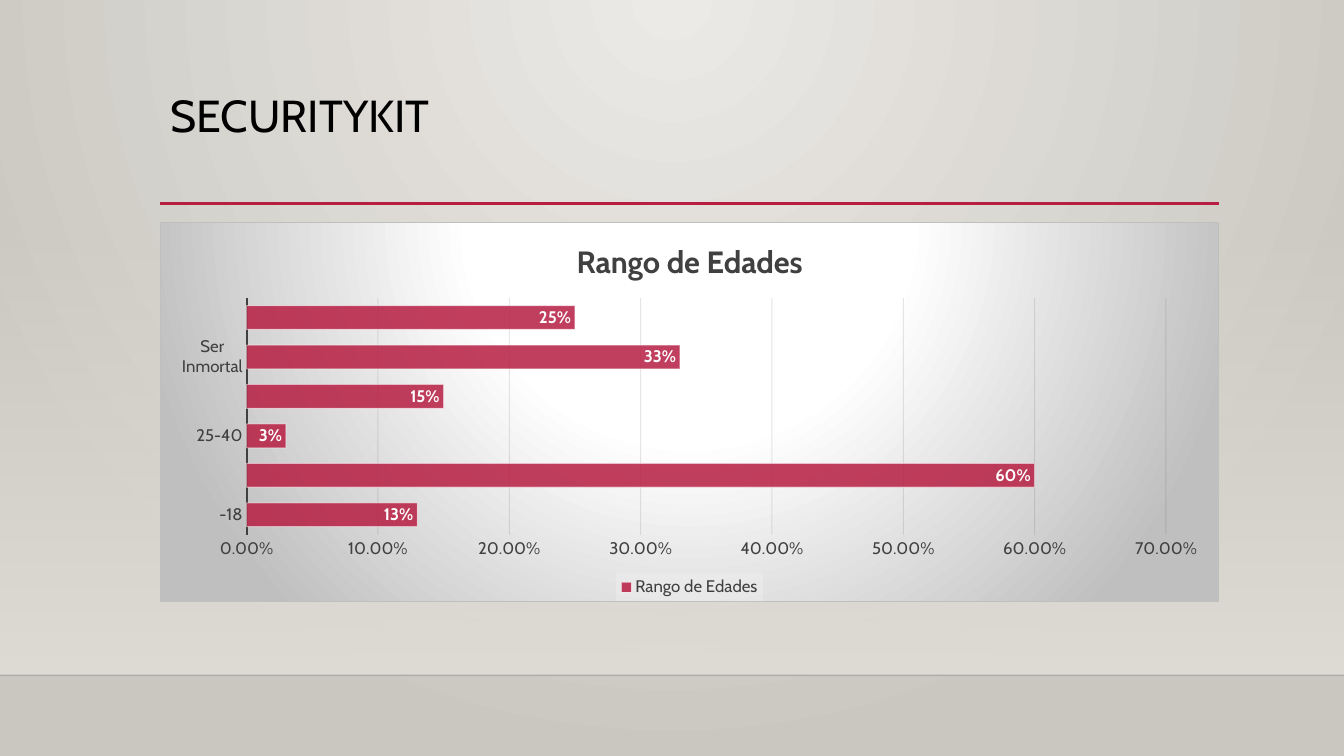
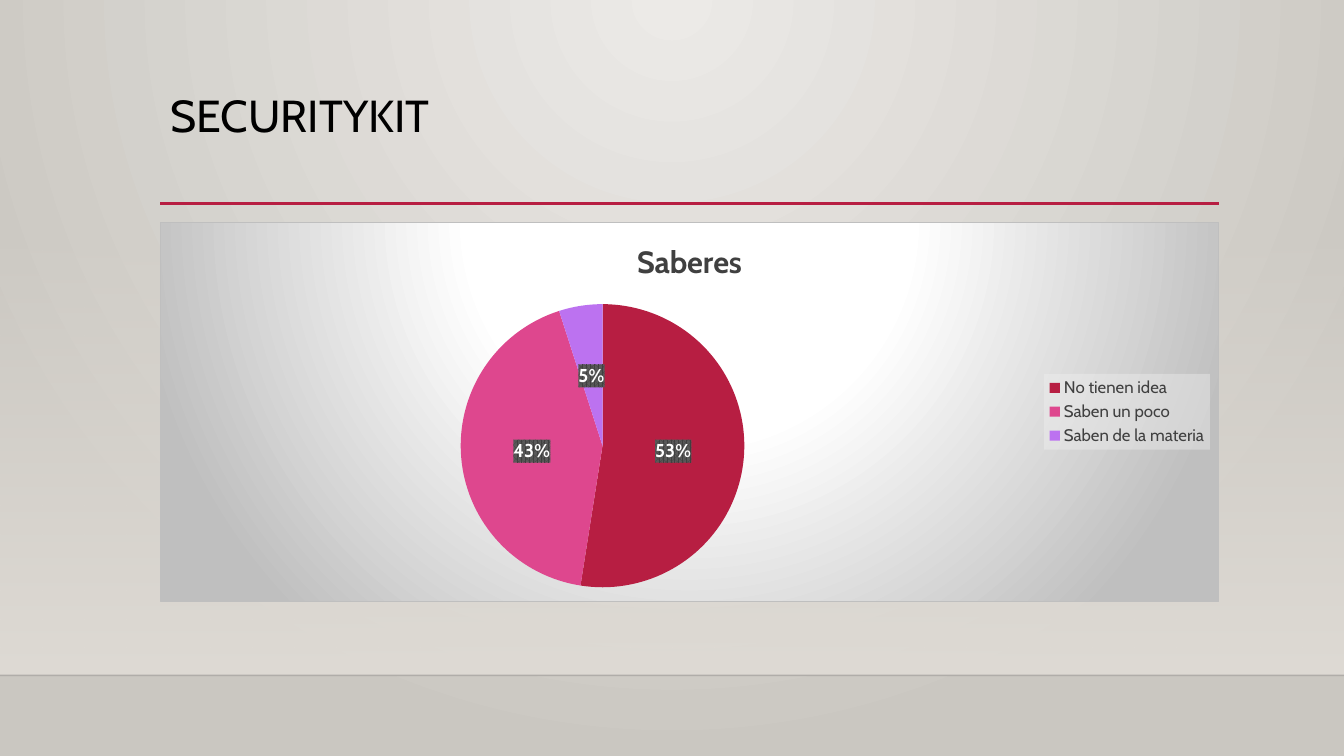
from pptx import Presentation
from pptx.chart.data import CategoryChartData
from pptx.dml.color import RGBColor
from pptx.enum.chart import XL_CHART_TYPE as Kind
from pptx.enum.chart import XL_LABEL_POSITION as Spot
from pptx.enum.chart import XL_LEGEND_POSITION as Side
from pptx.enum.chart import XL_TICK_MARK as Tick
from pptx.enum.shapes import MSO_CONNECTOR as Wire
from pptx.enum.shapes import MSO_SHAPE as Shape
from pptx.enum.text import MSO_ANCHOR as Anchor
from pptx.enum.text import MSO_AUTO_SIZE as Fit
from pptx.enum.text import PP_ALIGN as Align
from pptx.oxml import parse_xml
from pptx.oxml.ns import nsdecls, qn
from pptx.util import Pt

FACE = "Cabin"
INK = {
    "light": "ECEAE7", "shade": "CAC7C1", "sand": "DFDBD5", "edge": "000001",
    "red": "B71E42", "pink": "DE478E", "violet": "BC72F0",
    "black": "000000", "white": "FFFFFF", "text": "404040",
    "grid": "0D0D0D", "gray": "BFBFBF", "pale": "F2F2F2", "dot": "595959",
}
WIDTH, HEIGHT = 960, 540
LEFT, SPAN = 114.5, 756
RULE, FLOOR = 145.4, 482.4
BAND = 159.1
TITLE = (LEFT, 63.4, SPAN, 82.8)
CHART = (LEFT, 158.4, SPAN, 271.4)


def pts(*nums):
    return [Pt(num) for num in nums]


def style(font, size, ink, bold=False):
    font.name, font.size, font.bold = FACE, Pt(size), bold
    font.color.rgb = RGBColor.from_string(INK[ink])


def tint(fill, ink, alpha=100):
    """Make a fill solid, with an opacity in percent."""
    fill.solid()
    fill.fore_color.rgb = RGBColor.from_string(INK[ink])
    if alpha < 100:
        tone = fill._xPr.find(qn("a:solidFill")).find(qn("a:srgbClr"))
        tone.append(parse_xml(f'<a:alpha {nsdecls("a")} val="{alpha * 1000}"/>'))


def stroke(line, ink, width, alpha=100):
    line.width = Pt(width)
    tint(line.fill, ink, alpha)


def color(ink, alpha=100):
    return (f'<a:srgbClr val="{INK[ink]}">'
            f'<a:alpha val="{alpha * 1000}"/></a:srgbClr>')


def blend(stops, focus=None):
    """Give gradient XML: round about a focus rectangle, else downward."""
    marks = "".join(f'<a:gs pos="{pos * 1000}">{color(ink, alpha)}</a:gs>'
                    for pos, ink, alpha in stops)
    way = '<a:lin ang="5400000" scaled="0"/>'
    if focus:
        sides = " ".join(f'{side}="{num * 1000}"'
                         for side, num in zip("ltrb", focus))
        way = f'<a:path path="circle"><a:fillToRect {sides}/></a:path>'
    return (f'<a:gradFill {nsdecls("a")} rotWithShape="1">'
            f'<a:gsLst>{marks}</a:gsLst>{way}</a:gradFill>')


def paint(fill, grad):
    fill.gradient()
    props = fill._xPr
    props.replace(props.find(qn("a:gradFill")), parse_xml(grad))


def back(part, fill, line=""):
    """Put fill and line XML behind a chart part that has its font set."""
    part.find(qn("c:txPr")).addprevious(
        parse_xml(f'<c:spPr {nsdecls("c", "a")}>{fill}{line}</c:spPr>'))


def rule(slide, start, end, level, ink, width, alpha=100):
    wire = slide.shapes.add_connector(
        Wire.STRAIGHT, *pts(start, level, end, level))
    stroke(wire.line, ink, width, alpha)
    wire._element.spPr.append(parse_xml(f'<a:effectLst {nsdecls("a")}/>'))


def head(slide, text):
    title = slide.shapes.title
    title.left, title.top, title.width, title.height = pts(*TITLE)
    frame = title.text_frame
    frame.text = text
    frame.word_wrap, frame.auto_size = True, Fit.NONE
    frame.vertical_anchor = Anchor.TOP
    para = frame.paragraphs[0]
    para.alignment, para.line_spacing = Align.LEFT, 0.9
    style(para.runs[0].font, 32, "black")


def page(deck, text):
    """Add a slide with the shared band, rules and title."""
    slide = deck.slides.add_slide(deck.slide_layouts[5])
    band = slide.shapes.add_shape(
        Shape.RECTANGLE, *pts(0, BAND, WIDTH, FLOOR - BAND))
    band.shadow.inherit = False
    band.line.fill.background()
    paint(band.fill, blend([(0, "sand", 0), (100, "sand", 100)]))
    rule(slide, 0, WIDTH, FLOOR, "edge", 1, 20)
    rule(slide, LEFT, LEFT + SPAN, RULE, "red", 2.5)
    head(slide, text)
    return slide


def graph(slide, kind, name, cats, vals, form, side):
    """Add a one-series chart with the shared panel, title and legend."""
    data = CategoryChartData(number_format=form)
    data.categories = cats
    data.add_series(name, vals)
    chart = slide.shapes.add_chart(kind, *pts(*CHART), data).chart
    style(chart.font, 10, "black")
    panel = blend([(0, "white", 100), (39, "white", 100), (100, "gray", 100)],
                  (50, -80, 50, 180))
    edge = f'<a:ln w="{Pt(0.75)}"><a:solidFill>{color("gray")}</a:solidFill></a:ln>'
    back(chart._chartSpace, panel, edge)

    chart.has_title = True
    chart.chart_title.include_in_layout = False
    frame = chart.chart_title.text_frame
    frame.text = name
    style(frame.paragraphs[0].runs[0].font, 22, "text", True)

    chart.has_legend = True
    legend = chart.legend
    legend.position, legend.include_in_layout = side, False
    style(legend.font, 12, "text")
    back(legend._element, f'<a:solidFill>{color("pale", 39)}</a:solidFill>')
    return chart


def label(plot, size, form, spot):
    plot.has_data_labels = True
    labels = plot.data_labels
    labels.show_value = True
    labels.number_format, labels.number_format_is_linked = form, False
    labels.position = spot
    style(labels.font, size, "white", True)
    return labels


def bars(slide, name, cats, vals):
    chart = graph(slide, Kind.BAR_CLUSTERED, name, cats, vals, "0%", Side.BOTTOM)
    plot = chart.plots[0]
    plot.gap_width, plot.vary_by_categories = 65, False
    label(plot, 12, "0%", Spot.INSIDE_END)
    look = plot.series[0].format
    tint(look.fill, "red", 85)
    stroke(look.line, "white", 0.75, 50)

    base, scale = chart.category_axis, chart.value_axis
    for axis in (base, scale):
        axis.major_tick_mark = axis.minor_tick_mark = Tick.NONE
        style(axis.tick_labels.font, 12, "text")
    base.has_major_gridlines = False
    stroke(base.format.line, "text", 1.5)
    scale.minimum_scale, scale.maximum_scale, scale.major_unit = 0, 0.7, 0.1
    scale.tick_labels.number_format = "0.00%"
    scale.tick_labels.number_format_is_linked = False
    scale.format.line.fill.background()
    stroke(scale.major_gridlines.format.line, "grid", 0.75, 10)


def pie(slide, name, cats, vals, inks):
    form = '0"%"'
    chart = graph(slide, Kind.PIE, name, cats, vals, form, Side.RIGHT)
    plot = chart.plots[0]
    plot.vary_by_categories = True
    for num, ink in enumerate(inks):
        tint(plot.series[0].points[num].format.fill, ink)
    labels = label(plot, 13.3, form, Spot.CENTER)
    back(labels._element,
         f'<a:pattFill prst="pct75"><a:fgClr>{color("text")}</a:fgClr>'
         f'<a:bgClr>{color("dot")}</a:bgClr></a:pattFill>')


def main():
    deck = Presentation()
    deck.slide_width, deck.slide_height = pts(WIDTH, HEIGHT)
    paint(deck.slide_master.background.fill,
          blend([(0, "light", 100), (100, "shade", 100)], (43, 0, 43, 100)))
    bars(page(deck, "SECURITYKIT"), "Rango de Edades",
         ["-18", "", "25-40", "", "Ser Inmortal", ""],
         [0.13, 0.6, 0.03, 0.15, 0.33, 0.25])
    pie(page(deck, "SECURITYKIT"), "Saberes",
        ["No tienen idea", "Saben un poco", "Saben de la materia"],
        [53, 43, 5], ["red", "pink", "violet"])
    deck.save("out.pptx")


if __name__ == "__main__":
    main()
